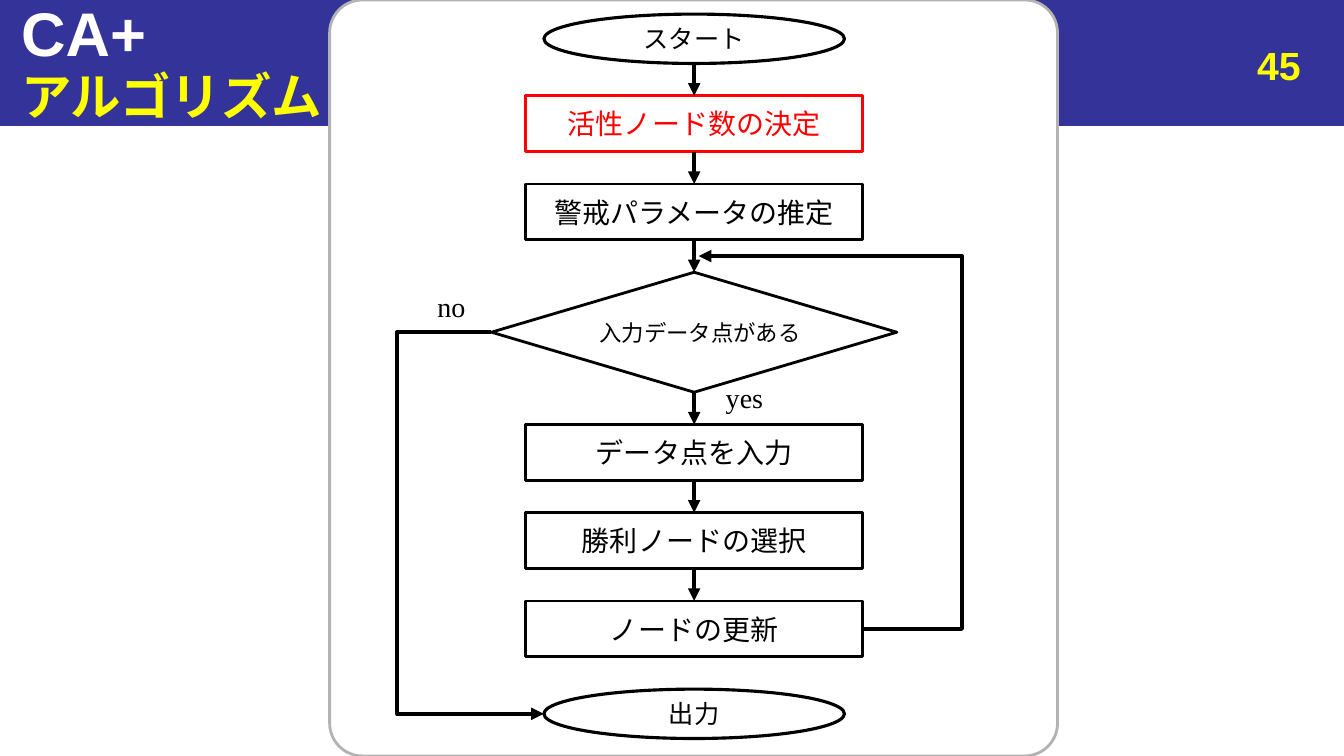
from dataclasses import dataclass
from itertools import pairwise

from lxml.etree import SubElement
from pptx import Presentation
from pptx.dml.color import RGBColor
from pptx.enum.shapes import MSO_CONNECTOR, MSO_SHAPE
from pptx.enum.text import MSO_ANCHOR, PP_ALIGN
from pptx.oxml.ns import qn
from pptx.util import Inches, Pt

COLORS = {
    "band": "333399",
    "white": "FFFFFF",
    "yellow": "FFFF00",
    "grey": "B3B3B3",
    "red": "FF0000",
    "black": "000000",
}
AXIS, TOP, GAP = 51.65, 1.87, 4.27

prs = Presentation()
prs.slide_width, prs.slide_height = Inches(13.33), Inches(7.5)
s = prs.slides.add_slide(prs.slide_layouts[6])


@dataclass(frozen=True)
class Kind:
    shape: MSO_SHAPE
    width: float
    height: float
    line: float
    size: int
    nudge: float = 0


@dataclass(frozen=True)
class Node:
    text: str
    kind: Kind
    color: str = "black"


@dataclass(frozen=True)
class Label:
    text: str
    left: float
    top: float
    width: float
    height: float
    size: int
    color: str = "black"
    font: str = "Arial"
    bold: bool = False
    align: PP_ALIGN = PP_ALIGN.LEFT
    anchor: MSO_ANCHOR = MSO_ANCHOR.TOP


TERMINAL = Kind(MSO_SHAPE.OVAL, 22.36, 6.53, 2.25, 18)
STEP = Kind(MSO_SHAPE.RECTANGLE, 25.06, 7.4, 2, 20)
DECISION = Kind(MSO_SHAPE.FLOWCHART_DECISION, 30.16, 15.87, 2, 16, 0.12)

FLOW = [
    Node("スタート", TERMINAL),
    Node("活性ノード数の決定", STEP, "red"),
    Node("警戒パラメータの推定", STEP),
    Node("入力データ点がある", DECISION),
    Node("データ点を入力", STEP),
    Node("勝利ノードの選択", STEP),
    Node("ノードの更新", STEP),
    Node("出力", TERMINAL),
]
HEADINGS = [
    Label("CA+", 0.83, -0.27, 99.17, 8.93, 44, "white", bold=True,
          anchor=MSO_ANCHOR.MIDDLE),
    Label("45", 74.19, 4.8, 23.33, 6.93, 28, "yellow", bold=True,
          align=PP_ALIGN.RIGHT),
    Label("アルゴリズム", 0.83, 8.93, 99.17, 7.33, 36, "yellow", bold=True,
          anchor=MSO_ANCHOR.MIDDLE),
]
BRANCHES = [
    Label("yes", 53.26, 49.73, 9.68, 8.13, 20, font="Times New Roman"),
    Label("no", 31.81, 37.6, 5.7, 8.13, 20, font="Times New Roman"),
]


def px(share: float) -> int:
    return round(prs.slide_width * share / 100)


def py(share: float) -> int:
    return round(prs.slide_height * share / 100)


def rgb(name: str) -> RGBColor:
    return RGBColor.from_string(COLORS[name])


def set_all(target, **values) -> None:
    for name, value in values.items():
        setattr(target, name, value)


def write(tf, text: str, size: int, color: str, font: str, bold: bool, align) -> None:
    p = tf.paragraphs[0]
    p.alignment = align
    r = p.add_run()
    r.text = text
    set_all(r.font, size=Pt(size), name=font, bold=bold)
    r.font.color.rgb = rgb(color)


def add_box(kind, left: float, top: float, width: float, height: float,
            fill: str, line: str, weight: float):
    sp = s.shapes.add_shape(kind, px(left), py(top), px(width), py(height))
    sp.shadow.inherit = False
    sp.fill.solid()
    sp.fill.fore_color.rgb = rgb(fill)
    sp.line.color.rgb = rgb(line)
    sp.line.width = Pt(weight)
    return sp


def add_label(label: Label) -> None:
    sp = s.shapes.add_textbox(px(label.left), py(label.top),
                              px(label.width), py(label.height))
    tf = sp.text_frame
    set_all(tf, word_wrap=True, vertical_anchor=label.anchor)
    write(tf, label.text, label.size, label.color, label.font, label.bold, label.align)


def add_node(node: Node, top: float):
    k = node.kind
    sp = add_box(k.shape, AXIS - k.width / 2, top, k.width, k.height,
                 "white", node.color, k.line)
    tf = sp.text_frame
    set_all(tf, word_wrap=False, vertical_anchor=MSO_ANCHOR.MIDDLE,
            margin_left=Inches(k.nudge), margin_right=0, margin_top=0, margin_bottom=0)
    write(tf, node.text, k.size, node.color, "Arial", False, PP_ALIGN.CENTER)
    return sp


def add_arrow(kind, x1: int, y1: int, x2: int, y2: int):
    c = s.shapes.add_connector(kind, x1, y1, x2, y2)
    c.line.color.rgb = rgb("black")
    c.line.width = Pt(3)
    SubElement(c.line._get_or_add_ln(), qn("a:tailEnd"), type="triangle")
    SubElement(c._element.spPr, qn("a:effectLst"))
    return c


def add_detour(x1: int, y1: int, x2: int, y2: int, rail: int) -> None:
    c = add_arrow(MSO_CONNECTOR.ELBOW, x1, y1, x2, y2)
    bend = round((rail - x1) / (x2 - x1) * 100000)
    guides = c._element.spPr.find(qn("a:prstGeom")).get_or_add_avLst()
    SubElement(guides, qn("a:gd"), name="adj1", fmla=f"val {bend}")


def middle(sp) -> int:
    return sp.top + sp.height // 2


def main() -> None:
    add_box(MSO_SHAPE.RECTANGLE, 0, 0, 100, 16.67, "band", "band", 0.75)
    for label in HEADINGS:
        add_label(label)
    panel = add_box(MSO_SHAPE.ROUNDED_RECTANGLE, 24.53, 0, 54.16, 100,
                    "white", "grey", 2)
    panel.adjustments[0] = 0.045

    shapes, top = [], TOP
    for node in FLOW:
        shapes.append(add_node(node, top))
        top += node.kind.height + GAP

    for a, b in pairwise(shapes[:-1]):
        c = add_arrow(MSO_CONNECTOR.STRAIGHT, px(AXIS), a.top + a.height,
                      px(AXIS), b.top)
        if a is not shapes[0]:
            c.begin_connect(a, 2)
        c.end_connect(b, 0)

    estimate, decision, update, output = (shapes[i] for i in (2, 3, 6, 7))
    merge_y = (estimate.top + estimate.height + decision.top) // 2
    add_detour(update.left + update.width, middle(update),
               px(51.99), merge_y, px(71.57))
    add_detour(decision.left, middle(decision),
               output.left, middle(output), px(29.56))
    for label in BRANCHES:
        add_label(label)
    prs.save("out.pptx")


if __name__ == "__main__":
    main()
